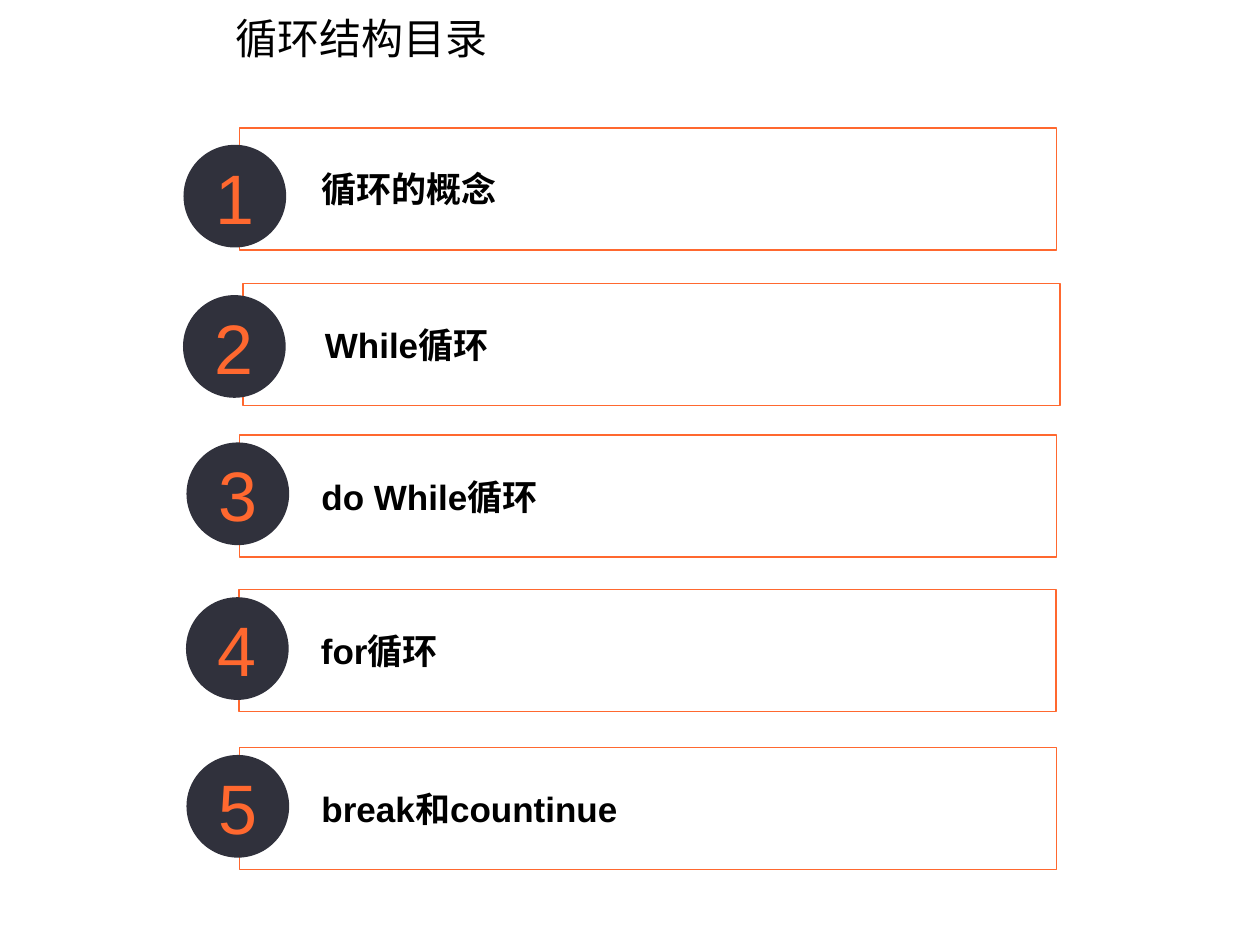
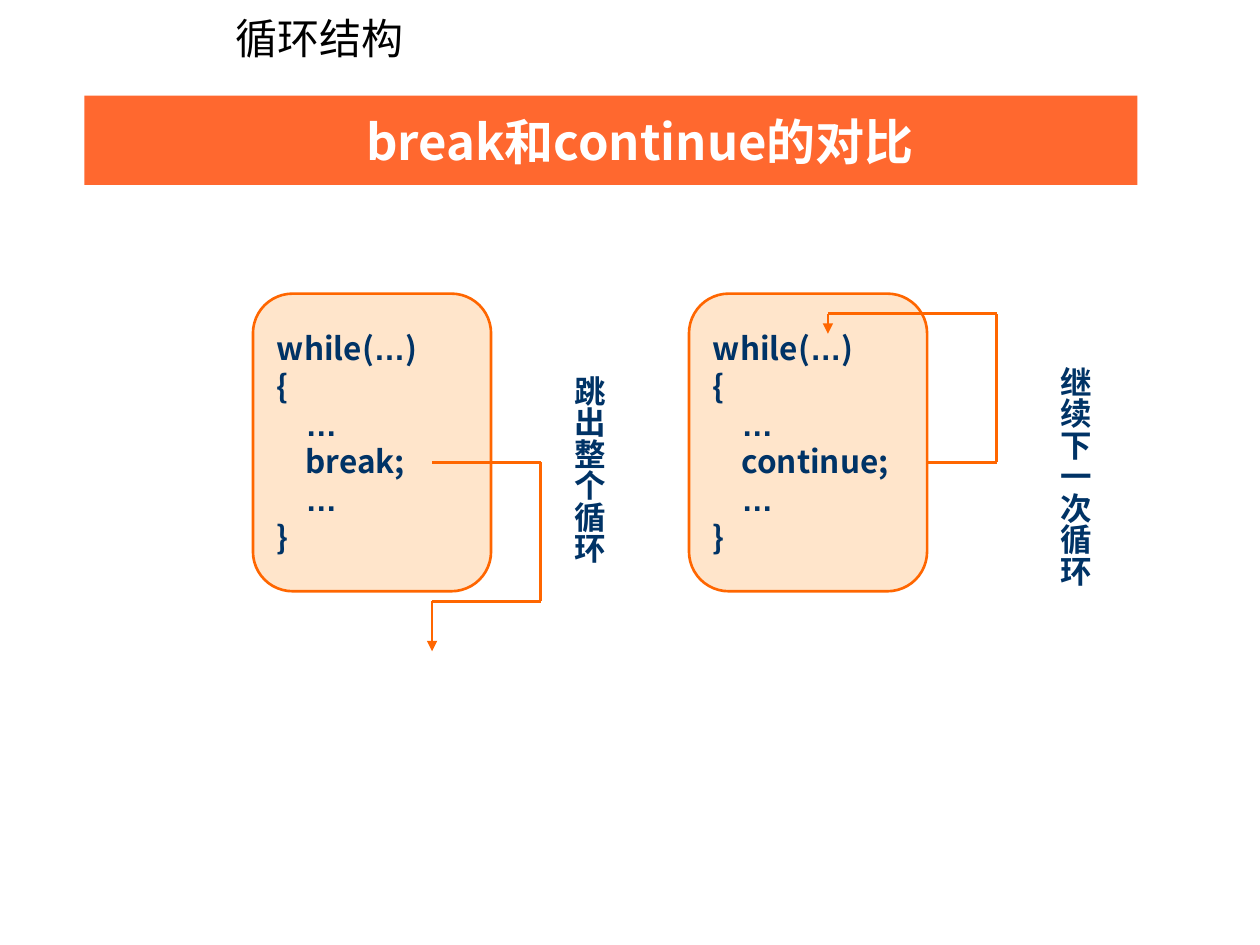
from pptx import Presentation, util as u
from pptx.dml.color import RGBColor
from pptx.enum import shapes, text
from pptx.oxml import parse_xml
from pptx.oxml.ns import nsdecls, qn
from lxml import etree

SANS, CJK = "Arial", "Noto Sans CJK SC"
ORANGE, DARK, WHITE, BLACK = "FF682F", "30313C", "FFFFFF", "000000"
EDGE, PEACH, NAVY = "FF6600", "FFCC99", "003366"
rgb = RGBColor.from_string
kinds = shapes.MSO_SHAPE


def draw(page, kind, area, fill, line=None, width=0.75, alpha=100):
    shape = page.shapes.add_shape(kind, *map(u.Cm, area))
    shape.shadow.inherit = False
    shape.fill.solid()
    shape.fill.fore_color.rgb = rgb(fill)
    if alpha < 100:
        color = shape._element.spPr.find(qn("a:solidFill"))[0]
        etree.SubElement(color, qn("a:alpha")).set("val", str(alpha * 1000))
    if line:
        shape.line.color.rgb = rgb(line)
        shape.line.width = u.Pt(width)
    else:
        shape.line.fill.background()
    shape.text_frame.vertical_anchor = text.MSO_ANCHOR.MIDDLE
    return shape


def style(par, size, color, face, bold=False, align=text.PP_ALIGN.LEFT):
    par.alignment = align
    for run in par.runs:
        font = run.font
        font.size, font.bold = u.Pt(size), bold
        font.color.rgb = rgb(color)
        font.name = SANS if run.text == "…" else face
        east = parse_xml(f'<a:ea {nsdecls("a")} typeface="{CJK}"/>')
        run._r.rPr.find(qn("a:latin")).addnext(east)


deck = Presentation()
deck.slide_width, deck.slide_height = u.Cm(25.4), u.Cm(19.05)
pages = []
for title, wide in (("循环结构目录", 6.8), ("循环结构", 6.55)):
    page = deck.slides.add_slide(deck.slide_layouts[6])
    box = page.shapes.add_textbox(*map(u.Cm, (4.5, 0.13, wide, 1.28)))
    box.text_frame.word_wrap = True
    box.text_frame.text = title
    style(box.text_frame.paragraphs[0], 24, BLACK, CJK)
    pages.append(page)
menu, match = pages

topics = (
    ("循环的概念", 4.83, 2.58, 3.7, 2.92),
    ("While循环", 4.9, 5.72, 3.69, 5.95),
    ("do While循环", 4.83, 8.77, 3.76, 8.92),
    ("for循环", 4.82, 11.88, 3.75, 12.04),
    ("break和countinue", 4.83, 15.07, 3.76, 15.22),
)
for num, (topic, left, top, x, y) in enumerate(topics, 1):
    bar = draw(menu, kinds.RECTANGLE, (left, top, 16.47, 2.46), WHITE, ORANGE, alpha=40)
    frame = bar.text_frame
    frame.margin_left = u.Cm(1.65)
    frame.margin_right = frame.margin_top = frame.margin_bottom = u.Cm(0.2)
    frame.text = topic
    style(frame.paragraphs[0], 20, BLACK, SANS, True)
    disc = draw(menu, kinds.OVAL, (x, y, 2.07, 2.07), DARK)
    disc.text_frame.text = str(num)
    style(disc.text_frame.paragraphs[0], 40, ORANGE, SANS, align=text.PP_ALIGN.CENTER)

draw(match, kinds.RECTANGLE, (1.7, 1.93, 21.23, 1.8), ORANGE)
head = match.shapes.add_textbox(*map(u.Cm, (3.3, 2.13, 19.2, 1.45)))
head.text_frame.word_wrap = True
head.text_frame.text = "break和continue的对比"
style(head.text_frame.paragraphs[0], 28, WHITE, CJK, True, text.PP_ALIGN.CENTER)

cases = (
    ("break", 5.1, "跳出整个循环", 11.1, 7.32,
     ((8.71, 9.32), (10.9, 9.32), (10.9, 12.12), (8.71, 12.12), (8.71, 13.13))),
    ("continue", 13.89, "继续下一次循环", 20.9, 7.14,
     ((18.69, 9.32), (20.09, 9.32), (20.09, 6.32), (16.69, 6.32), (16.69, 6.73))),
)
for word, left, note, x, y, route in cases:
    card = draw(match, kinds.FLOWCHART_ALTERNATE_PROCESS, (left, 5.92, 4.8, 6),
                PEACH, EDGE, 1.5, 50)
    frame = card.text_frame
    frame.word_wrap = False
    lines = ("while(…)", "{", "    …", f"    {word};", "    …", "}")
    for row, line in enumerate(lines):
        par = frame.add_paragraph() if row else frame.paragraphs[0]
        for part in filter(None, line.partition("…")):
            par.add_run().text = part
        style(par, 18, NAVY, CJK, True)

    for start, end in zip(route, route[1:]):
        link = match.shapes.add_connector(shapes.MSO_CONNECTOR.STRAIGHT,
                                          *map(u.Cm, start + end))
        link.line.color.rgb = rgb(EDGE)
        link.line.width = u.Pt(1.5)
        etree.SubElement(link._element.spPr, qn("a:effectLst"))
    etree.SubElement(link.line._get_or_add_ln(), qn("a:tailEnd")).set("type", "triangle")

    label = match.shapes.add_textbox(*map(u.Cm, (x, y, 1.28, 5)))
    frame = label.text_frame
    frame.word_wrap = True
    frame.margin_left = frame.margin_right = u.Cm(0.13)
    frame.margin_top = frame.margin_bottom = u.Cm(0.25)
    frame._txBody.bodyPr.set("vert", "eaVert")
    frame.text = note
    style(frame.paragraphs[0], 18, NAVY, SANS, True)

deck.save("out.pptx")
